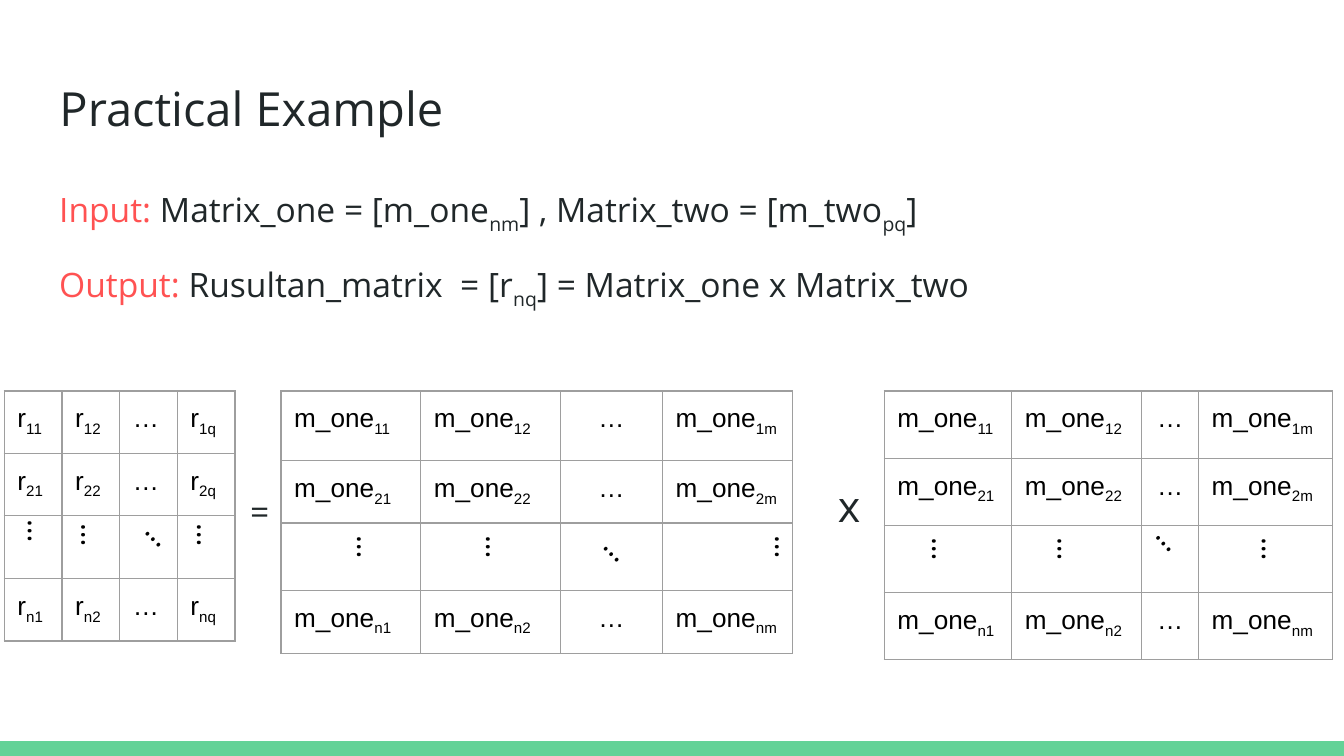
import pptx
import pptx.util
import pptx.dml.color
import pptx.enum.shapes
import pptx.enum.text
import pptx.oxml
import pptx.oxml.ns

Cm = pptx.util.Cm
Pt = pptx.util.Pt
ALIGN = pptx.enum.text.PP_ALIGN
MIDDLE = pptx.enum.text.MSO_ANCHOR.MIDDLE
COLORS = {"ink": "202729", "label": "FF5252", "cell": "000000",
          "border": "9E9E9E", "bar": "63D297"}


def add_span(para, text, size, color, font="Open Sans", subscript=False):
    span = para.add_run()
    span.text = text
    span.font.size = Pt(size)
    span.font.name = font
    span.font.color.rgb = pptx.dml.color.RGBColor.from_string(COLORS[color])
    if subscript:
        span._r.get_or_add_rPr().set("baseline", "-25000")


def add_box(left, top, width, height, margin=0.25):
    box = page.shapes.add_textbox(Cm(left), Cm(top), Cm(width), Cm(height))
    frame = box.text_frame
    frame.word_wrap = True
    frame.margin_left = frame.margin_right = Cm(margin)
    frame.margin_top = frame.margin_bottom = Cm(margin)
    return box


deck = pptx.Presentation()
deck.slide_width = Cm(25.4)
deck.slide_height = Cm(14.29)
page = deck.slides.add_slide(deck.slide_layouts[5])

bar = page.shapes.add_shape(pptx.enum.shapes.MSO_SHAPE.RECTANGLE,
                            Cm(0), Cm(14.01), Cm(25.4), Cm(0.28))
bar.shadow.inherit = False
bar.fill.solid()
bar.fill.fore_color.rgb = pptx.dml.color.RGBColor.from_string(COLORS["bar"])
bar.line.fill.background()

title = page.shapes.title
title.left, title.top, title.width, title.height = Cm(0.87), Cm(1.24), Cm(23.67), Cm(1.6)
title.text_frame.vertical_anchor = MIDDLE
title.text_frame.paragraphs[0].alignment = ALIGN.LEFT
add_span(title.text_frame.paragraphs[0], "Practical Example", 25.2, "ink")

definitions = [
    ("Input: ", ["Matrix_one = [m_one", "nm", "] , Matrix_two = [m_two", "pq", "]"]),
    ("Output: ", ["Rusultan_matrix  = [r", "nq", "] = Matrix_one x Matrix_two"]),
]
body = add_box(0.87, 3.2, 23.67, 3.6).text_frame
for number, (label, pieces) in enumerate(definitions):
    para = body.add_paragraph() if number else body.paragraphs[0]
    para.line_spacing = 1.15
    para.space_before = Pt(12 * number)
    add_span(para, label, 18, "label")
    for index, piece in enumerate(pieces):
        add_span(para, piece, 18, "ink", subscript=index % 2 == 1)

for sign, size, left, top in [("=", 18, 4.41, 9.16), ("x", 23, 15.55, 9.06)]:
    operator = add_box(left, top, 1, 1, margin=0).text_frame
    operator.vertical_anchor = MIDDLE
    operator.paragraphs[0].alignment = ALIGN.CENTER
    add_span(operator.paragraphs[0], sign, size, "ink")

matrices = [
    {"name": "r", "last": "q", "left": 0.08, "dots_align": ALIGN.LEFT,
     "columns": [1.09] * 4, "rows": [1.15, 1.14, 1.2, 1.15],
     "dots": [(0.23, 9.5, 90), (1.24, 9.58, 90), (2.54, 9.5, 45), (3.43, 9.58, 90)]},
    {"name": "m_one", "last": "m", "left": 5.31, "dots_align": ALIGN.CENTER,
     "columns": [2.64, 2.64, 1.93, 2.46], "rows": [1.32, 1.17, 1.27, 1.2],
     "dots": [(6.45, 9.8, 90), (8.89, 9.8, 90), (11.2, 9.8, 45), (14.35, 9.8, 90)]},
    {"name": "m_one", "last": "m", "left": 16.71, "dots_align": ALIGN.CENTER,
     "columns": [2.41, 2.46, 1.07, 2.54], "rows": [1.27] * 4,
     "dots": [(17.32, 9.83, 90), (19.69, 9.83, 90), (21.64, 9.6, 47.5), (23.55, 9.83, 90)]},
]
for matrix in matrices:
    holder = page.shapes.add_table(4, 4, Cm(matrix["left"]), Cm(7.39),
                                   Cm(sum(matrix["columns"])), Cm(sum(matrix["rows"])))
    table = holder.table
    table.first_row = table.horz_banding = False
    for column, width in zip(table.columns, matrix["columns"]):
        column.width = Cm(width)
    for row, height in zip(table.rows, matrix["rows"]):
        row.height = Cm(height)

    for i, row_index in enumerate(["1", "2", "", "n"]):
        for j, column_index in enumerate(["1", "2", "", matrix["last"]]):
            cell = table.cell(i, j)
            margin = Cm(0.25) if row_index else Cm(0)
            cell.margin_left = cell.margin_right = margin
            cell.margin_top = cell.margin_bottom = margin
            properties = cell._tc.get_or_add_tcPr()
            for side in ("lnL", "lnR", "lnT", "lnB"):
                properties.append(pptx.oxml.parse_xml(
                    f'<a:{side} {pptx.oxml.ns.nsdecls("a")} w="9525"><a:solidFill>'
                    f'<a:srgbClr val="{COLORS["border"]}"/></a:solidFill></a:{side}>'))
            cell.fill.background()
            para = cell.text_frame.paragraphs[0]
            if row_index and column_index:
                add_span(para, matrix["name"], 14, "cell", "Arial")
                add_span(para, row_index + column_index, 14, "cell", "Arial", True)
            elif row_index:
                para.alignment = matrix["dots_align"]
                add_span(para, "…", 14, "cell", "Arial")

    for left, top, angle in matrix["dots"]:
        dots = add_box(left, top, 1.04, 1.19)
        dots.rotation = angle
        add_span(dots.text_frame.paragraphs[0], "…", 16, "cell")

deck.save("out.pptx")
